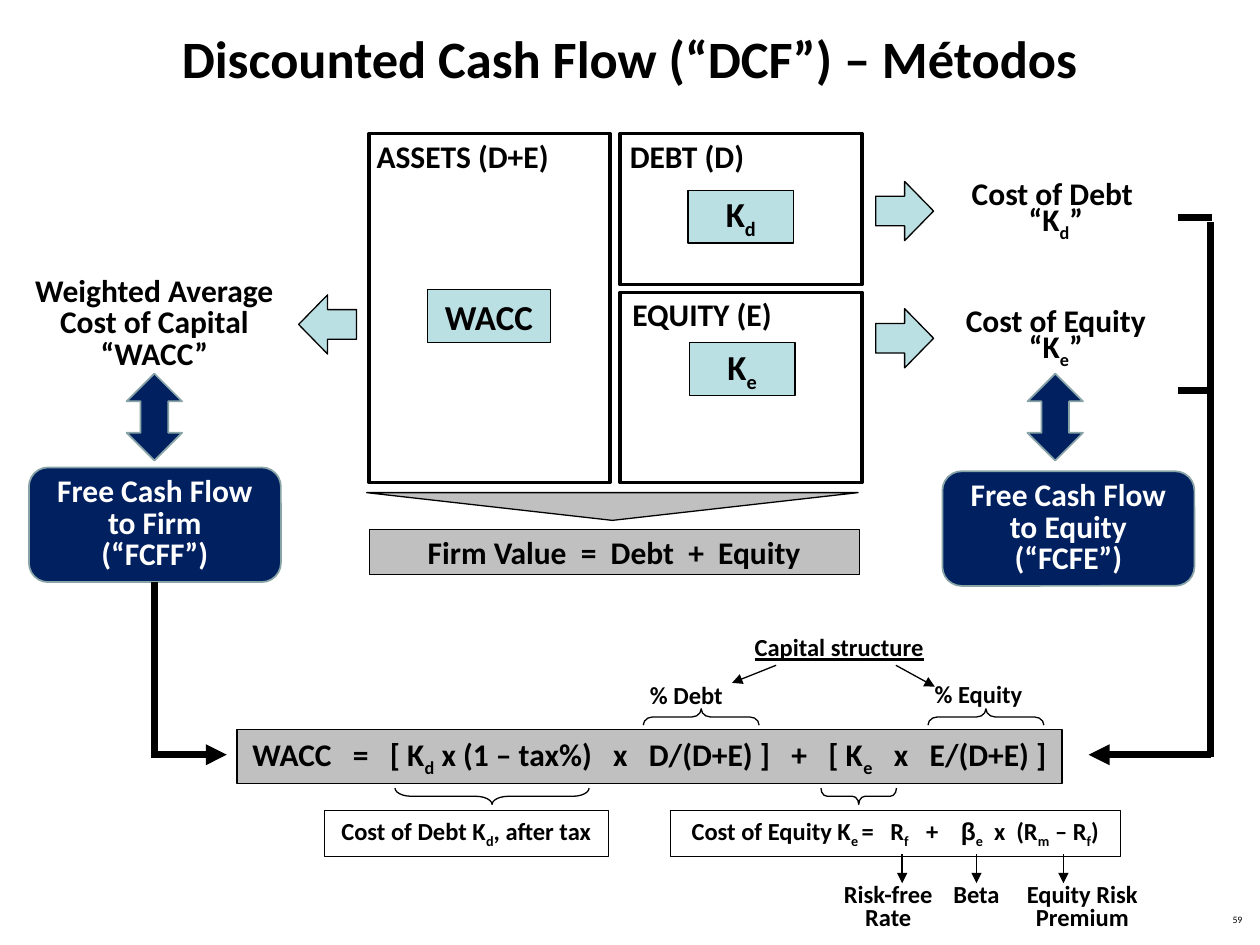
from lxml import etree
from pptx import Presentation
from pptx import util as u
from pptx.dml.color import RGBColor
from pptx.enum import shapes, text
from pptx.oxml.ns import qn

COLORS = {"black": "000000", "white": "FFFFFF", "aqua": "BBE0E3",
          "grey": "C0C0C0", "navy": "002060", "slate": "89A4A7"}
KIND = shapes.MSO_SHAPE
LEFT, CENTER, RIGHT = text.PP_ALIGN.LEFT, text.PP_ALIGN.CENTER, text.PP_ALIGN.RIGHT
TIGHT = u.Pt(18)

BALANCE_SHEET = [(2.93, 1.06, 1.91, 2.77), (4.92, 1.06, 1.92, 1.2), (4.92, 2.32, 1.92, 1.51)]
SECTION_LABELS = [
    ("ASSETS (D+E)", (2.89, 1.04, 1.57, 0.4)),
    ("DEBT (D)", (4.9, 1.04, 1.11, 0.4)),
    ("EQUITY (E)", (4.92, 2.29, 1.31, 0.4)),
]
# Text between tildes is subscript.
FILLED_BOXES = [
    ("WACC", (3.39, 2.3, 0.98, 0.42), "aqua", 20),
    ("K~d~", (5.46, 1.51, 0.84, 0.42), "aqua", 20),
    ("K~e~", (5.47, 2.72, 0.84, 0.42), "aqua", 20),
    ("Firm Value  =  Debt  +  Equity", (2.93, 4.2, 3.89, 0.36), "grey", 18),
    ("WACC   =   [ K~d~ x (1 – tax%)   x   D/(D+E) ]   +   [ K~e~   x   E/(D+E) ]",
     (1.88, 5.79, 6.55, 0.43), "grey", 18),
]
COST_BOXES = [
    ("Cost of Debt K~d~, after tax", (2.57, 6.43, 2.26, 0.37)),
    ("Cost of Equity K~e ~=   R~f  ~  +    ~~β~e~  x  (R~m~ – R~f~)", (5.32, 6.43, 3.57, 0.37)),
]
COST_LABELS = [
    ("Cost of Debt \n“K~d~”", (7.37, 1.38, 2.02, 0.6)),
    ("Cost of Equity “K~e~”", (7.37, 2.39, 2.02, 0.6)),
    ("Weighted Average Cost of Capital “WACC”", (0.1, 2.15, 2.25, 0.85)),
]
CASH_FLOWS = [
    ("Free Cash Flow to Firm\n(“FCFF”)", 0.23, 3.71),
    ("Free Cash Flow to Equity\n(“FCFE”)", 7.48, 3.74),
]
WEIGHTS = [("% Debt", (5.06, 5.35, 1.04, 0.34)), ("% Equity", (7.32, 5.34, 0.9, 0.34))]
EQUITY_INPUTS = [
    ("Risk-free Rate", (6.53, 6.97, 1.04, 0.48), 7.16),
    ("Beta", (7.45, 6.97, 0.6, 0.29), 7.75),
    ("Equity Risk Premium", (7.93, 6.97, 1.32, 0.48), 8.44),
]
BLOCK_ARROWS = [(6.95, 1.44, 0), (6.95, 2.45, 0), (2.37, 2.34, 180)]
BRACES = [
    ((3.84, 5.55, 0.13, 1.54), 90, 1),
    ((6.75, 6.02, 0.13, 0.6), 90, 0.38),
    ((5.5, 5.23, 0.13, 0.92), 270, 0.57),
    ((7.76, 5.23, 0.13, 0.92), 270, 0.57),
]
LINES = [
    ((6.16, 5.28), (5.81, 5.42), 0.75, True),
    ((7.11, 5.28), (7.42, 5.45), 0.75, True),
    ((1.2, 5.99), (1.8, 5.99), 4, True),
    ((9.61, 6.01), (9.61, 1.76), 4, False),
    ((9.61, 5.99), (8.64, 5.99), 4, True),
    ((9.35, 1.73), (9.62, 1.73), 4, False),
    ((9.35, 3.1), (9.62, 3.1), 4, False),
]

deck = Presentation()
deck.slide_width, deck.slide_height = u.Inches(10), u.Inches(7.5)
page = deck.slides.add_slide(deck.slide_layouts[6])


def color(name):
    return RGBColor.from_string(COLORS[name])


def write(box, words, size, ink="black", align=CENTER, spacing=None, wrap=True,
          middle=False, bold=True, underline=None):
    frame = box.text_frame
    frame.word_wrap = wrap
    frame.vertical_anchor = text.MSO_ANCHOR.MIDDLE if middle else text.MSO_ANCHOR.TOP
    for row, line in enumerate(words.split("\n")):
        para = frame.add_paragraph() if row else frame.paragraphs[0]
        para.alignment, para.line_spacing = align, spacing
        font = para.font
        font.name, font.size, font.bold, font.underline = "Calibri", u.Pt(size), bold, underline
        font.color.rgb = color(ink)
        for index, piece in enumerate(line.split("~")):
            if not piece:
                continue
            span = para.add_run()
            span.text = piece
            if index % 2:
                span._r.get_or_add_rPr().set("baseline", "-25000")
            if piece == "β":
                span.font.name = "Arial"


def add_label(words, place, size, **style):
    box = page.shapes.add_textbox(*map(u.Inches, place))
    write(box, words, size, **style)


def add_block(kind, place, fill=None, line="black", width=0.75, turn=0):
    block = page.shapes.add_shape(kind, *map(u.Inches, place))
    block.shadow.inherit = False
    if fill:
        block.fill.solid()
        block.fill.fore_color.rgb = color(fill)
    else:
        block.fill.background()
    block.line.color.rgb = color(line)
    block.line.width = u.Pt(width)
    block.rotation = turn
    return block


def add_line(start, end, width, arrow=False):
    line = page.shapes.add_connector(shapes.MSO_CONNECTOR.STRAIGHT,
                                     *map(u.Inches, (*start, *end)))
    line.line.color.rgb = color("black")
    line.line.width = u.Pt(width)
    if arrow:
        etree.SubElement(line.line._get_or_add_ln(), qn("a:tailEnd"), type="triangle")
    etree.SubElement(line._element.spPr, qn("a:effectLst"))
    return line


add_label("59", (7.63, 7.22, 2.33, 0.21), 5.6, align=RIGHT, spacing=0.8, bold=False)
add_label("Discounted Cash Flow (“DCF”) – Métodos", (0, 0, 10, 0.91), 30, middle=True)

for place in BALANCE_SHEET:
    add_block(KIND.RECTANGLE, place, "white", width=2)
for words, place in SECTION_LABELS:
    add_label(words, place, 18, align=LEFT, wrap=False)
for words, place, fill, size in FILLED_BOXES:
    write(add_block(KIND.RECTANGLE, place, fill), words, size, wrap=False, middle=True)
for place, turn, curl in BRACES:
    brace = add_block(KIND.RIGHT_BRACE, place, turn=turn)
    brace.adjustments[0] = curl
add_block(KIND.ISOSCELES_TRIANGLE, (2.91, 3.91, 3.9, 0.22), "grey", turn=180)

for words, place in WEIGHTS:
    add_label(words, place, 14, align=LEFT)
add_label("Capital structure", (5.65, 4.97, 2.02, 0.34), 14, underline=True)
for words, place in COST_LABELS:
    add_label(words, place, 18, spacing=TIGHT)
for left, top, turn in BLOCK_ARROWS:
    add_block(KIND.RIGHT_ARROW, (left, top, 0.46, 0.47), "aqua", turn=turn)

flow_boxes = []
for words, left, top in CASH_FLOWS:
    box = add_block(KIND.ROUNDED_RECTANGLE, (left, top, 2, 0.91), "navy", "slate", 1)
    write(box, words, 18, ink="white", spacing=TIGHT, middle=True)
    flow_boxes.append(box)
    add_block(KIND.LEFT_RIGHT_ARROW, (left + 0.65 if left < 5 else left + 0.55, 3.09, 0.69, 0.44),
              "navy", "slate", 1, turn=90)

for words, place in COST_BOXES:
    write(add_block(KIND.RECTANGLE, place, width=0.25), words, 14)
for words, place, center in EQUITY_INPUTS:
    add_label(words, place, 14, spacing=0.8)
    add_line((center, 6.78), (center, 7.01), 0.75, arrow=True)

for start, end, width, arrow in LINES:
    add_line(start, end, width, arrow)
firm_line = add_line((1.23, 4.62), (1.23, 6), 4)
firm_line.begin_connect(flow_boxes[0], 2)

deck.save("out.pptx")
